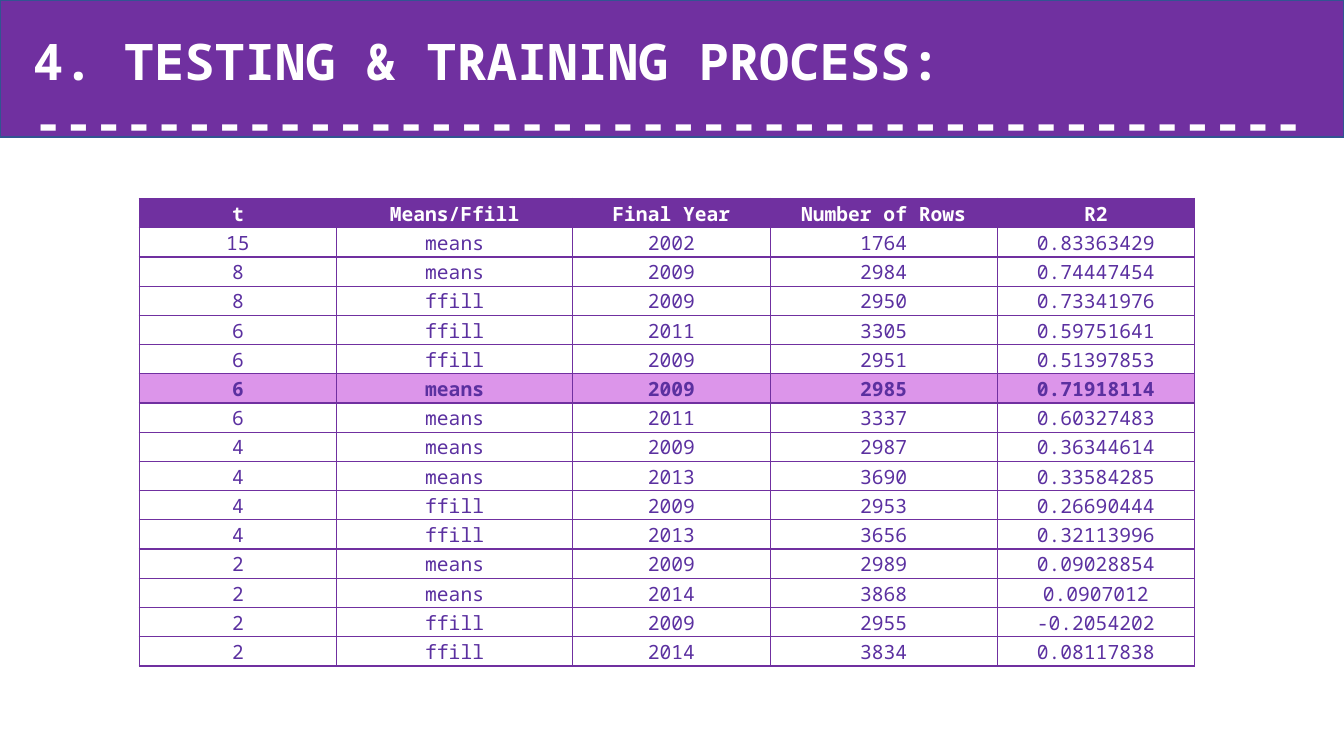
from dataclasses import dataclass

from lxml.etree import SubElement
from pptx import Presentation
from pptx.dml.color import RGBColor
from pptx.enum.shapes import MSO_SHAPE
from pptx.enum.text import MSO_ANCHOR, PP_ALIGN
from pptx.oxml.ns import qn
from pptx.util import Inches, Pt


@dataclass(frozen=True)
class Theme:
    """Colours, font and type sizes of the slide."""
    purple: RGBColor = RGBColor(0x70, 0x30, 0xA0)
    ink: RGBColor = RGBColor(0x5B, 0x30, 0xA0)
    highlight: RGBColor = RGBColor(0xDC, 0x95, 0xEA)
    outline: RGBColor = RGBColor(0x32, 0x54, 0x91)
    white: RGBColor = RGBColor(0xFF, 0xFF, 0xFF)
    font: str = "Noto Sans Mono"
    title_size: int = 36
    table_size: int = 14
    line_width: int = 1


THEME = Theme()
TITLE = "4. TESTING & TRAINING PROCESS:"
DASH_COUNT = 42
COLUMN_WIDTHS = [1.96, 2.34, 1.96, 2.25, 1.96]
ROW_HEIGHT = 0.29
HIGHLIGHTED_ROW = 6
RESULTS = [
    ("t", "Means/Ffill", "Final Year", "Number of Rows", "R2"),
    ("15", "means", "2002", "1764", "0.83363429"),
    ("8", "means", "2009", "2984", "0.74447454"),
    ("8", "ffill", "2009", "2950", "0.73341976"),
    ("6", "ffill", "2011", "3305", "0.59751641"),
    ("6", "ffill", "2009", "2951", "0.51397853"),
    ("6", "means", "2009", "2985", "0.71918114"),
    ("6", "means", "2011", "3337", "0.60327483"),
    ("4", "means", "2009", "2987", "0.36344614"),
    ("4", "means", "2013", "3690", "0.33584285"),
    ("4", "ffill", "2009", "2953", "0.26690444"),
    ("4", "ffill", "2013", "3656", "0.32113996"),
    ("2", "means", "2009", "2989", "0.09028854"),
    ("2", "means", "2014", "3868", "0.0907012"),
    ("2", "ffill", "2009", "2955", "-0.2054202"),
    ("2", "ffill", "2014", "3834", "0.08117838"),
]


def style_paragraph(paragraph, size, color, bold):
    """Set the font of a whole paragraph."""
    font = paragraph.font
    font.name, font.size, font.bold = THEME.font, Pt(size), bold
    font.color.rgb = color


def add_border(cell):
    """Draw a thin purple line on each side of a table cell."""
    properties = cell._tc.get_or_add_tcPr()
    for side in ("a:lnL", "a:lnR", "a:lnT", "a:lnB"):
        line = SubElement(properties, qn(side), w=str(Pt(THEME.line_width)))
        fill = SubElement(line, qn("a:solidFill"))
        SubElement(fill, qn("a:srgbClr"), val=str(THEME.purple))


def add_header(slide, left, top, width, height):
    """Add the purple band with its title and dashed rule."""
    band = slide.shapes.add_shape(MSO_SHAPE.RECTANGLE, left, top, width, height)
    band.shadow.inherit = False
    band.fill.solid()
    band.fill.fore_color.rgb = THEME.purple
    band.line.color.rgb = THEME.outline
    band.line.width = Pt(THEME.line_width)

    title = slide.shapes.add_textbox(left + Inches(0.23), top + Inches(0.25),
                                     width - Inches(0.46), Inches(1.31))
    frame = title.text_frame
    frame.word_wrap = True
    frame.text = f"{TITLE}\n{'-' * DASH_COUNT}"
    for paragraph in frame.paragraphs:
        style_paragraph(paragraph, THEME.title_size, THEME.white, True)


def fill_cell(cell, text, color, bold, background):
    """Write and style one table cell."""
    cell.text = text
    cell.vertical_anchor = MSO_ANCHOR.MIDDLE
    cell.margin_left = cell.margin_right = cell.margin_top = Inches(0.01)
    cell.margin_bottom = 0
    paragraph = cell.text_frame.paragraphs[0]
    paragraph.alignment = PP_ALIGN.CENTER
    style_paragraph(paragraph, THEME.table_size, color, bold)
    add_border(cell)
    if background is None:
        cell.fill.background()
    else:
        cell.fill.solid()
        cell.fill.fore_color.rgb = background


def add_results_table(slide, left, top):
    """Add the table of test runs with its highlighted row."""
    frame = slide.shapes.add_table(
        len(RESULTS), len(COLUMN_WIDTHS), left, top,
        Inches(sum(COLUMN_WIDTHS)), Inches(ROW_HEIGHT * len(RESULTS)))
    table = frame.table
    for column, width in zip(table.columns, COLUMN_WIDTHS):
        column.width = Inches(width)
    row_styles = {0: (THEME.white, True, THEME.purple),
                  HIGHLIGHTED_ROW: (THEME.ink, True, THEME.highlight)}
    for row_index, values in enumerate(RESULTS):
        table.rows[row_index].height = Inches(ROW_HEIGHT)
        style = row_styles.get(row_index, (THEME.ink, False, None))
        for column_index, value in enumerate(values):
            fill_cell(table.cell(row_index, column_index), value, *style)


def main():
    """Build and save the slide."""
    presentation = Presentation()
    presentation.slide_width = Inches(13.33)
    presentation.slide_height = Inches(7.5)
    slide = presentation.slides.add_slide(presentation.slide_layouts[6])
    add_header(slide, 0, 0, presentation.slide_width, Inches(1.36))
    add_results_table(slide, Inches(1.38), Inches(1.97))
    presentation.save("out.pptx")


if __name__ == "__main__":
    main()
